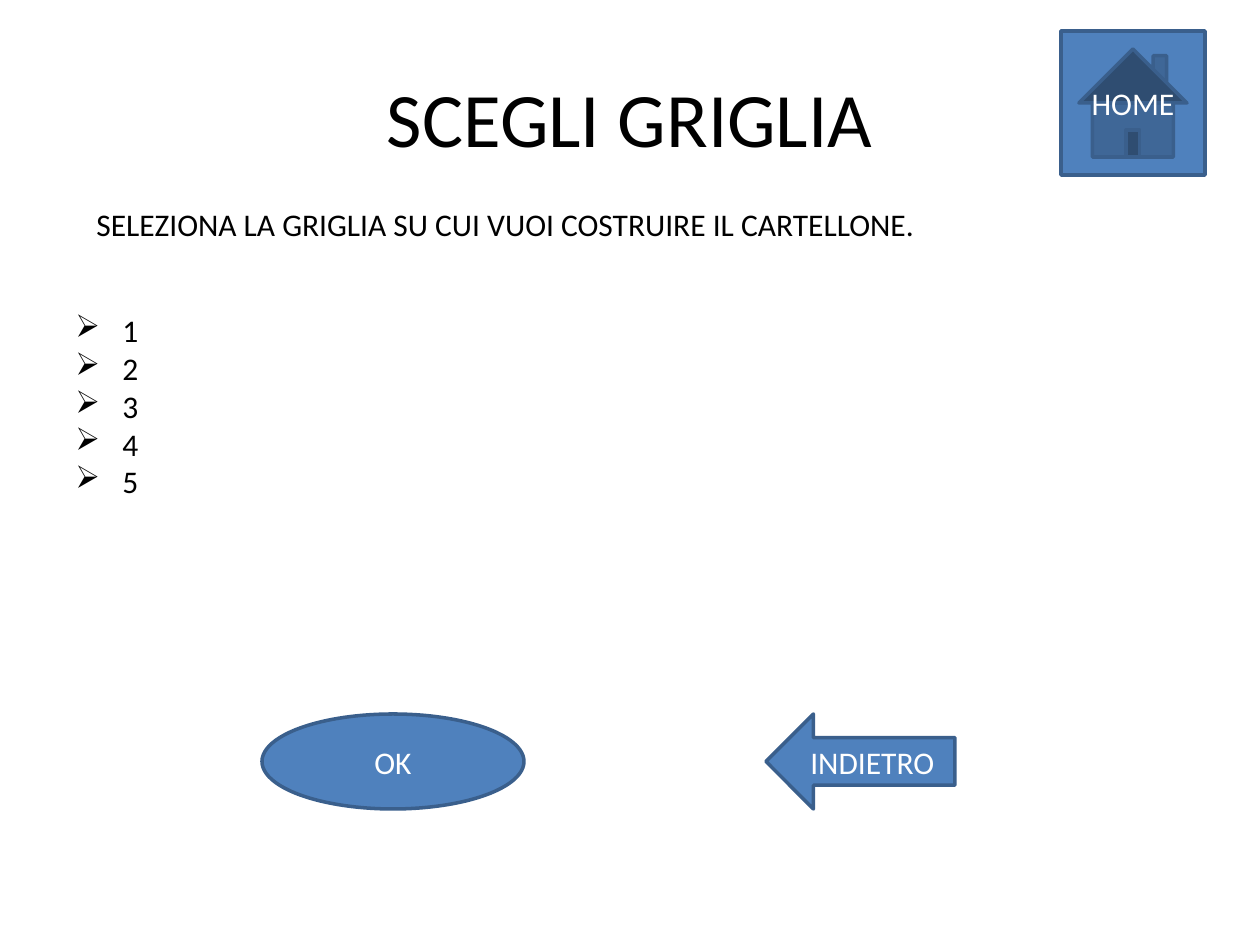
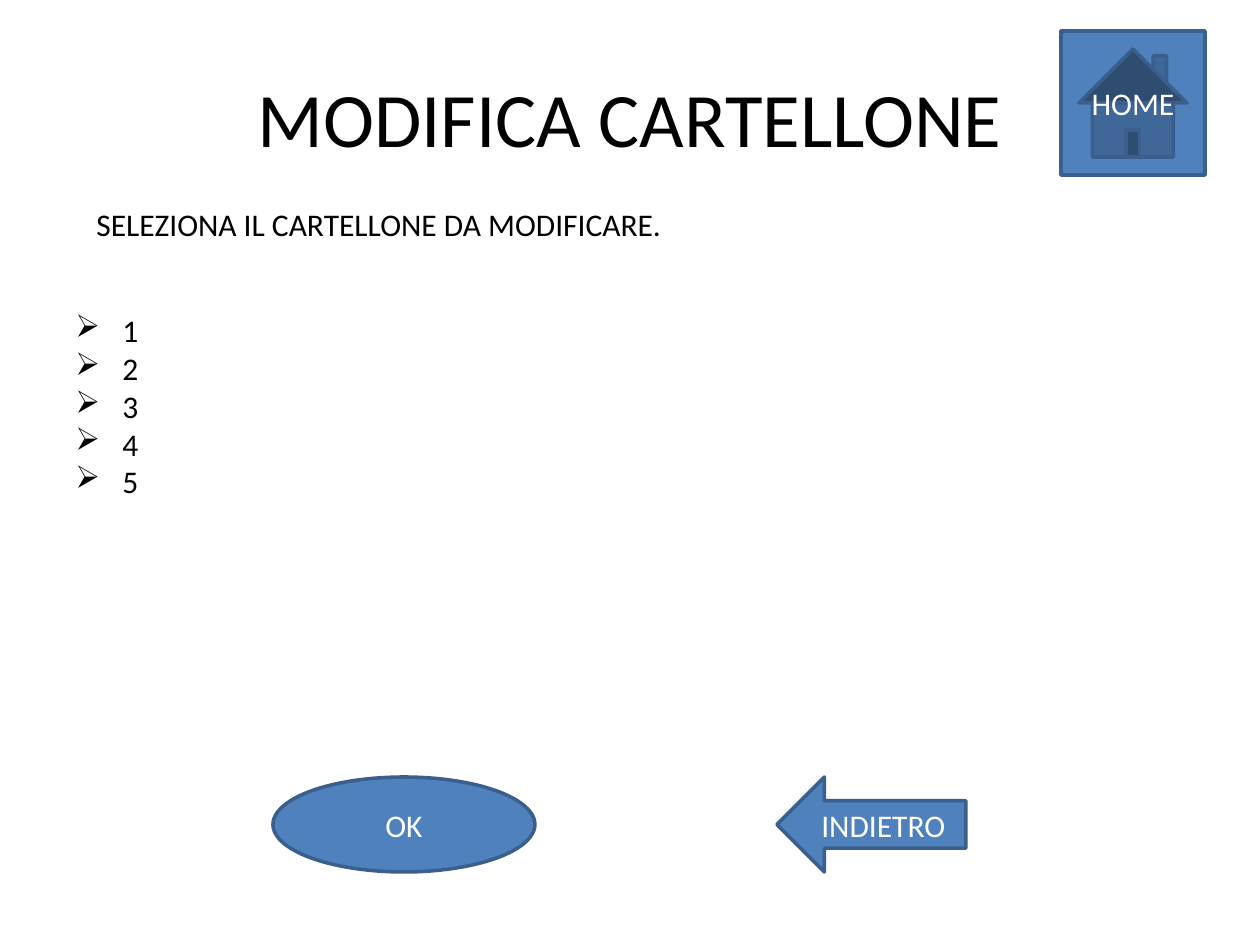
from lxml import etree
from pptx import Presentation
from pptx import util as u
from pptx.dml.color import RGBColor
from pptx.enum import shapes, text
from pptx.oxml.ns import qn

PAGES = [
    {"title": "SCEGLI GRIGLIA",
     "prompt": "SELEZIONA LA GRIGLIA SU CUI VUOI COSTRUIRE IL CARTELLONE.",
     "choices": ["1", "2", "3", "4", "5"],
     "buttons_at": (262, 714)},
    {"title": "MODIFICA CARTELLONE",
     "prompt": "SELEZIONA IL CARTELLONE DA MODIFICARE.",
     "choices": ["1", "2", "3", "4", "5"],
     "buttons_at": (273, 777)},
]

COLOURS = {"paper": "FFFFFF", "ink": "000000", "button": "4F81BD",
           "edge": "3A5F8C", "label": "FFFFFF"}
FONT = "Calibri"
TITLE_SIZE, BODY_SIZE = 44, 18
BULLET, BULLET_INDENT = "\u27a2", 47

# Left, top, width, height in pixels
SLIDE_SIZE = (1260, 945)
TITLE_BOX = (63, 38, 1134, 157)
PROMPT_BOX = (84, 199, 1113, 53)
CHOICES_BOX = (63, 305, 1103, 204)
HOME_BOX = (1061, 31, 144, 144)
OK_SIZE, BACK_SIZE = (262, 95), (189, 95)
BACK_OFFSET = 504  # from the left of OK to the left of INDIETRO


def px(length):
    """Turn pixels into EMU."""
    return u.Emu(round(length * 914400 / 126))


def colour(name):
    """Look up a palette colour."""
    return RGBColor.from_string(COLOURS[name])


def add_run(paragraph, wording, size, ink):
    """Add one formatted run to a paragraph."""
    run = paragraph.add_run()
    run.text = wording
    run.font.name = FONT
    run.font.size = u.Pt(size)
    run.font.color.rgb = colour(ink)


def set_title(slide, wording):
    """Place and fill the title placeholder."""
    title = slide.shapes.title
    title.left, title.top, title.width, title.height = map(px, TITLE_BOX)
    title.text_frame.vertical_anchor = text.MSO_ANCHOR.MIDDLE
    heading = title.text_frame.paragraphs[0]
    heading.alignment = text.PP_ALIGN.CENTER
    add_run(heading, wording, TITLE_SIZE, "ink")


def add_bullet(paragraph):
    """Give a paragraph a hanging arrow bullet."""
    properties = paragraph._p.get_or_add_pPr()
    properties.set("marL", str(px(BULLET_INDENT)))
    properties.set("indent", str(-px(BULLET_INDENT)))
    etree.SubElement(properties, qn("a:buChar")).set("char", BULLET)


def add_lines(slide, box, lines, bulleted=False):
    """Add a text box with one paragraph a line."""
    frame = slide.shapes.add_textbox(*map(px, box)).text_frame
    frame.word_wrap = True
    frame.auto_size = text.MSO_AUTO_SIZE.SHAPE_TO_FIT_TEXT
    for index, line in enumerate(lines):
        paragraph = frame.add_paragraph() if index else frame.paragraphs[0]
        if bulleted:
            add_bullet(paragraph)
        add_run(paragraph, line, BODY_SIZE, "ink")


def add_button(slide, outline, box, label):
    """Add a labelled navigation button."""
    button = slide.shapes.add_shape(outline, *map(px, box))
    button.shadow.inherit = False
    button.fill.solid()
    button.fill.fore_color.rgb = colour("button")
    button.line.color.rgb = colour("edge")
    button.line.width = u.Pt(2)
    button.text_frame.vertical_anchor = text.MSO_ANCHOR.MIDDLE
    paragraph = button.text_frame.paragraphs[0]
    paragraph.alignment = text.PP_ALIGN.CENTER
    add_run(paragraph, label, BODY_SIZE, "label")


def build_page(deck, page):
    """Build one selection page."""
    slide = deck.slides.add_slide(deck.slide_layouts[5])
    slide.background.fill.solid()
    slide.background.fill.fore_color.rgb = colour("paper")
    set_title(slide, page["title"])
    add_lines(slide, PROMPT_BOX, [page["prompt"]])
    add_lines(slide, CHOICES_BOX, page["choices"], bulleted=True)
    left, top = page["buttons_at"]
    kinds = shapes.MSO_SHAPE
    add_button(slide, kinds.ACTION_BUTTON_HOME, HOME_BOX, "HOME")
    add_button(slide, kinds.LEFT_ARROW, (left + BACK_OFFSET, top, *BACK_SIZE), "INDIETRO")
    add_button(slide, kinds.OVAL, (left, top, *OK_SIZE), "OK")


deck = Presentation()
deck.slide_width, deck.slide_height = map(px, SLIDE_SIZE)
for page in PAGES:
    build_page(deck, page)
deck.save("out.pptx")
